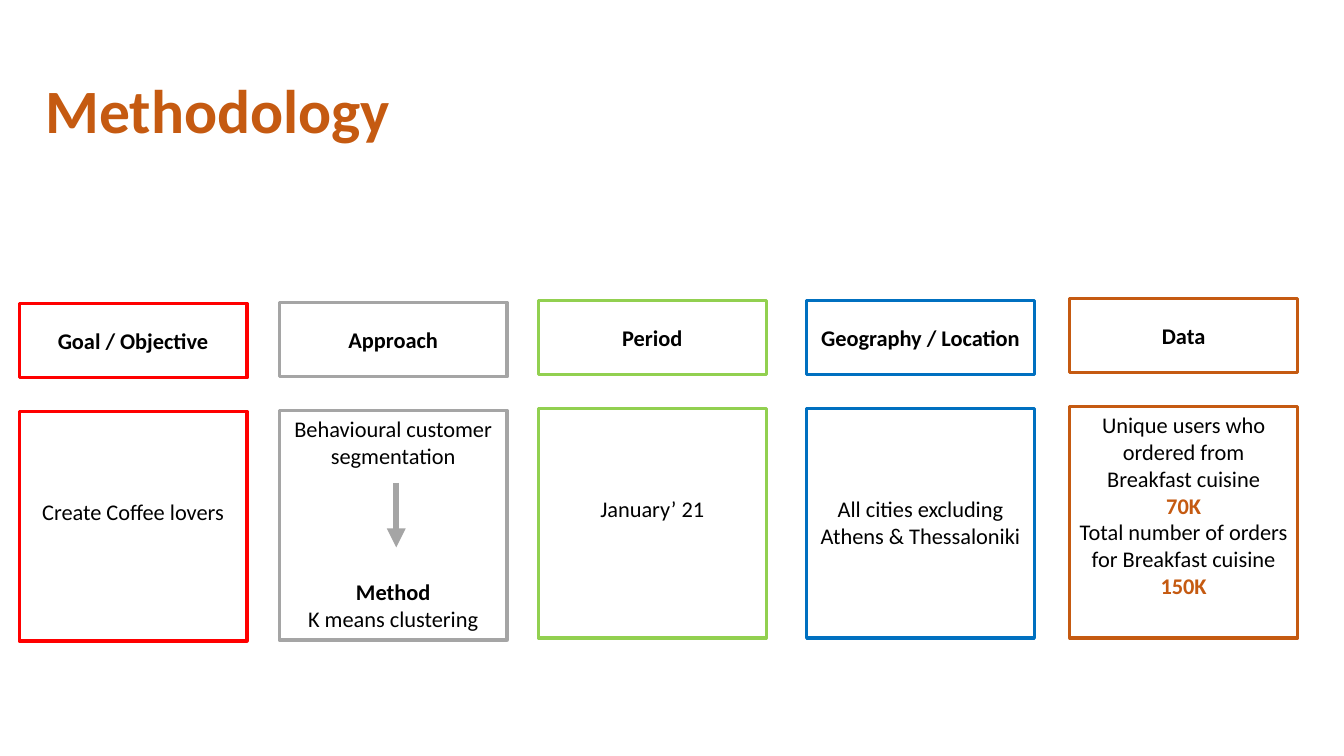
from lxml import etree
from pptx import Presentation
from pptx import util as u
from pptx.dml.color import RGBColor
from pptx.enum import shapes, text
from pptx.oxml.ns import qn

EMU_PER_PX = 9144
FONT = "Calibri"
COLOURS = {
    "black": "000000",
    "red": "FF0000",
    "grey": "A5A5A5",
    "green": "92D050",
    "blue": "0070C0",
    "orange": "C55A11",
}
CARD_WIDTH, HEADING_HEIGHT, BODY_OFFSET = 226, 74, 107
INSET, LOWERED_INSET = 5, 86
METHOD_GAP = 78

# Each body line is (wording, colour, bold, space before in points).
COLUMNS = [
    {"box": (19, 301), "body_height": 228, "colour": "red", "heading": "Goal / Objective",
     "inset": LOWERED_INSET, "lines": [("Create Coffee lovers", "black", False, 0)]},
    {"box": (277, 300), "body_height": 228, "colour": "grey", "heading": "Approach",
     "inset": INSET, "lines": [
         ("Behavioural customer segmentation", "black", False, 0),
         ("Method", "black", True, METHOD_GAP),
         ("K means clustering", "black", False, 0)]},
    {"box": (534, 298), "body_height": 228, "colour": "green", "heading": "Period",
     "inset": LOWERED_INSET, "lines": [("January’ 21", "black", False, 0)]},
    {"box": (800, 298), "body_height": 228, "colour": "blue", "heading": "Geography / Location",
     "inset": LOWERED_INSET,
     "lines": [("All cities excluding Athens & Thessaloniki", "black", False, 0)]},
    {"box": (1061, 296), "body_height": 230, "colour": "orange", "heading": "Data",
     "inset": INSET, "lines": [
         ("Unique users who ordered from Breakfast cuisine", "black", False, 0),
         ("70K", "orange", True, 0),
         ("Total number of orders for Breakfast cuisine", "black", False, 0),
         ("150K", "orange", True, 0)]},
]


def px(length):
    """Turn px into EMU."""
    return u.Emu(length * EMU_PER_PX)


def rgb(name):
    """Look up a named colour."""
    return RGBColor.from_string(COLOURS[name])


def style_font(paragraph, size, colour, bold):
    """Format every run of a paragraph."""
    for run in paragraph.runs:
        run.font.name = FONT
        run.font.size = u.Pt(size)
        run.font.bold = bold
        run.font.color.rgb = rgb(colour)


def add_title(slide, box, wording):
    """Place and format the title placeholder."""
    title = slide.shapes.title
    title.left, title.top, title.width, title.height = map(px, box)
    frame = title.text_frame
    frame.text = wording
    frame.auto_size = text.MSO_AUTO_SIZE.NONE
    frame.vertical_anchor = text.MSO_ANCHOR.MIDDLE
    paragraph = frame.paragraphs[0]
    paragraph.alignment = text.PP_ALIGN.LEFT
    paragraph.line_spacing = 0.9
    style_font(paragraph, 44, "orange", True)


def add_card(slide, box, outline, lines, anchor, inset=INSET):
    """Draw an outlined rectangle with centred lines of text."""
    card = slide.shapes.add_shape(shapes.MSO_SHAPE.RECTANGLE, *map(px, box))
    card.shadow.inherit = False
    card.fill.background()
    card.line.color.rgb = rgb(outline)
    card.line.width = u.Pt(2.25)
    frame = card.text_frame
    frame.word_wrap = True
    frame.vertical_anchor = anchor
    frame.margin_top = px(inset)
    frame.text = "\n".join(line[0] for line in lines)
    for paragraph, (_, colour, bold, gap) in zip(frame.paragraphs, lines):
        paragraph.alignment = text.PP_ALIGN.CENTER
        if gap:
            paragraph.space_before = u.Pt(gap)
        style_font(paragraph, 16, colour, bold)


def add_column(slide, column):
    """Draw a heading card with its body card below."""
    left, top = column["box"]
    add_card(slide, (left, top + BODY_OFFSET, CARD_WIDTH, column["body_height"]),
             column["colour"], column["lines"], text.MSO_ANCHOR.TOP, column["inset"])
    add_card(slide, (left, top, CARD_WIDTH, HEADING_HEIGHT), column["colour"],
             [(column["heading"], "black", True, 0)], text.MSO_ANCHOR.MIDDLE)


def add_method_arrow(slide, box):
    """Draw the downward arrow inside the approach column."""
    left, top = box
    x, y = left + 116, top + 179
    arrow = slide.shapes.add_connector(
        shapes.MSO_CONNECTOR.STRAIGHT, px(x), px(y), px(x), px(y + 64))
    arrow.line.color.rgb = rgb("grey")
    arrow.line.width = u.Pt(4.5)
    properties = arrow.element.spPr
    etree.SubElement(properties.find(qn("a:ln")), qn("a:tailEnd"), type="triangle")
    etree.SubElement(properties, qn("a:effectLst"))


def main():
    """Build and save the methodology slide."""
    presentation = Presentation()
    presentation.slide_width, presentation.slide_height = px(1333), px(750)
    slide = presentation.slides.add_slide(presentation.slide_layouts[5])
    add_title(slide, (35, 40, 1206, 145), "Methodology")
    for column in COLUMNS:
        add_column(slide, column)
    add_method_arrow(slide, COLUMNS[1]["box"])
    presentation.save("out.pptx")


if __name__ == "__main__":
    main()
